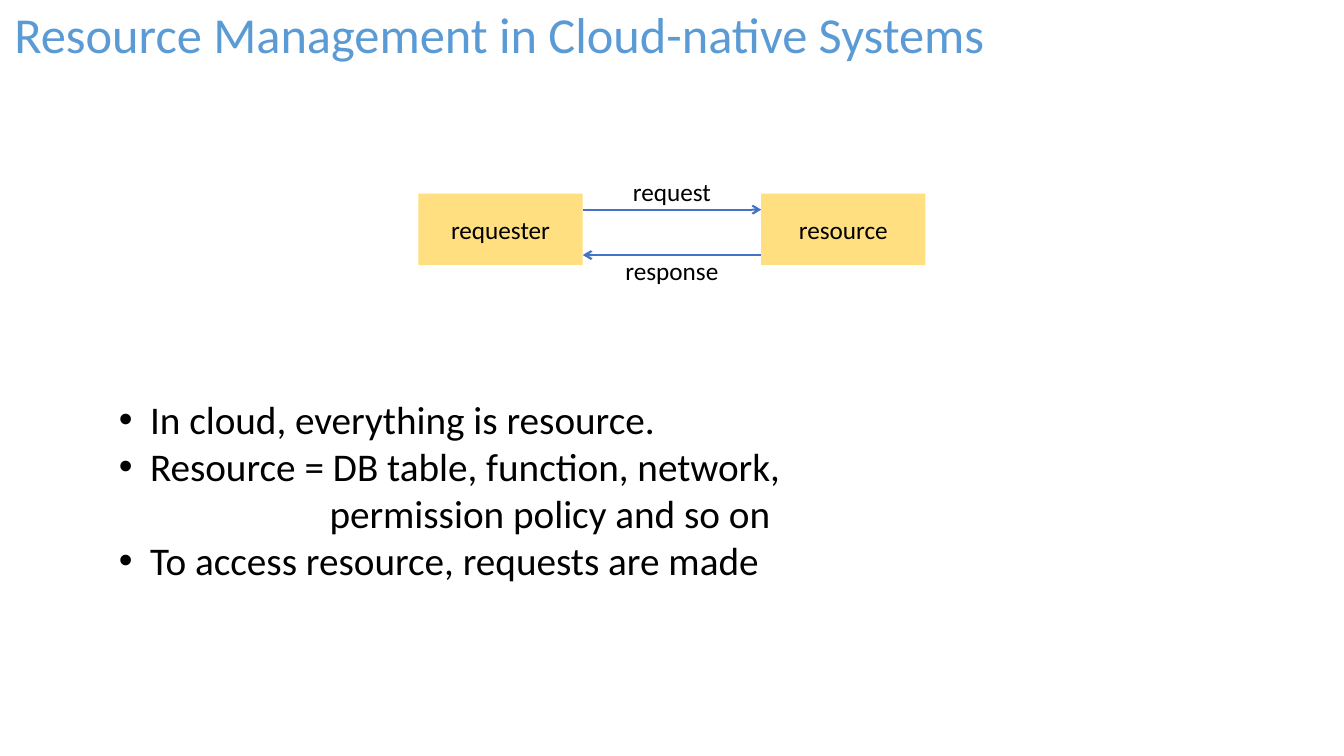
from pptx import Presentation
from pptx.dml.color import RGBColor
from pptx.enum.shapes import MSO_CONNECTOR as Connector, MSO_SHAPE as Shape
from pptx.enum.text import MSO_ANCHOR as Anchor, PP_ALIGN as Align
from pptx.oxml.ns import qn
from pptx.util import Inches, Pt
from lxml.etree import SubElement

BLACK = RGBColor(0x00, 0x00, 0x00)
AMBER = RGBColor(0xFF, 0xC0, 0x00)
ARROW_BLUE = RGBColor(0x44, 0x72, 0xC4)
TITLE_BLUE = RGBColor(0x5B, 0x9B, 0xD5)
FONT = "Calibri"

BULLET_INDENT = 0.31
CONTINUATION_INDENT = 2.09
POINTS = [
    ("In cloud, everything is resource.", True),
    ("Resource = DB table, function, network,", True),
    ("permission policy and so on", False),
    ("To access resource, requests are made", True),
]


def style_paragraph(paragraph, size, color=BLACK, align=Align.CENTER):
    paragraph.alignment = align
    for run in paragraph.runs:
        run.font.name = FONT
        run.font.size = Pt(size)
        run.font.color.rgb = color


def add_text(shapes, text, left, top, width, height, size, color=BLACK, wrap=True):
    text_box = shapes.add_textbox(Inches(left), Inches(top), Inches(width), Inches(height))
    text_box.text_frame.word_wrap = wrap
    text_box.text_frame.text = text
    style_paragraph(text_box.text_frame.paragraphs[0], size, color)


def add_node(shapes, text, left, top, width, height):
    node = shapes.add_shape(Shape.RECTANGLE, Inches(left), Inches(top),
                            Inches(width), Inches(height))
    node.shadow.inherit = False
    node.line.fill.background()
    node.fill.solid()
    node.fill.fore_color.rgb = AMBER
    color = node.fill._xPr.find(qn("a:solidFill"))[0]
    SubElement(color, qn("a:alpha"), val="50000")
    node.text_frame.word_wrap = True
    node.text_frame.vertical_anchor = Anchor.MIDDLE
    node.text_frame.text = text
    style_paragraph(node.text_frame.paragraphs[0], 18)


def add_arrow(shapes, start, end, y):
    arrow = shapes.add_connector(Connector.STRAIGHT, Inches(start), Inches(y),
                                 Inches(end), Inches(y))
    arrow.line.color.rgb = ARROW_BLUE
    arrow.line.width = Pt(1.5)
    SubElement(arrow.line._get_or_add_ln(), qn("a:tailEnd"), type="arrow")
    SubElement(arrow._element.spPr, qn("a:effectLst"))


def add_exchange(slide, left, top, width, height):
    """Draw the two nodes with the request and response between them."""
    shapes = slide.shapes.add_group_shape().shapes
    node_width = 1.63
    gap_start, gap_end = left + node_width, left + width - node_width
    add_node(shapes, "requester", left, top, node_width, height)
    add_node(shapes, "resource", gap_end, top, node_width, height)
    add_arrow(shapes, gap_start, gap_end, top + 0.16)
    add_arrow(shapes, gap_end, gap_start, top + 0.61)
    label_width = 1.23
    label_left = left + (width - label_width) / 2
    for text, offset in (("request", -0.22), ("response", 0.56)):
        add_text(shapes, text, label_left, top + offset, label_width, 0.4, 18)


def add_points(slide, left, top, width, height):
    text_box = slide.shapes.add_textbox(Inches(left), Inches(top),
                                        Inches(width), Inches(height))
    frame = text_box.text_frame
    frame.word_wrap = True
    frame.text = "\n".join(text for text, _ in POINTS)
    for paragraph, (_, bulleted) in zip(frame.paragraphs, POINTS):
        style_paragraph(paragraph, 28, align=Align.LEFT)
        properties = paragraph._p.get_or_add_pPr()
        if bulleted:
            properties.set("marL", str(Inches(BULLET_INDENT)))
            properties.set("indent", str(-Inches(BULLET_INDENT)))
            SubElement(properties, qn("a:buFont"), typeface="Arial")
            SubElement(properties, qn("a:buChar"), char="•")
        else:
            properties.set("marL", str(Inches(CONTINUATION_INDENT)))


def main():
    presentation = Presentation()
    presentation.slide_width = Inches(13.33)
    presentation.slide_height = Inches(7.5)
    slide = presentation.slides.add_slide(presentation.slide_layouts[6])
    add_exchange(slide, 4.15, 1.92, 5.03, 0.71)
    add_points(slide, 1.08, 3.87, 8.1, 1.99)
    add_text(slide.shapes, "Resource Management in Cloud-native Systems",
             0, -0.02, 9.91, 0.71, 36, TITLE_BLUE, wrap=False)
    presentation.save("out.pptx")


if __name__ == "__main__":
    main()
